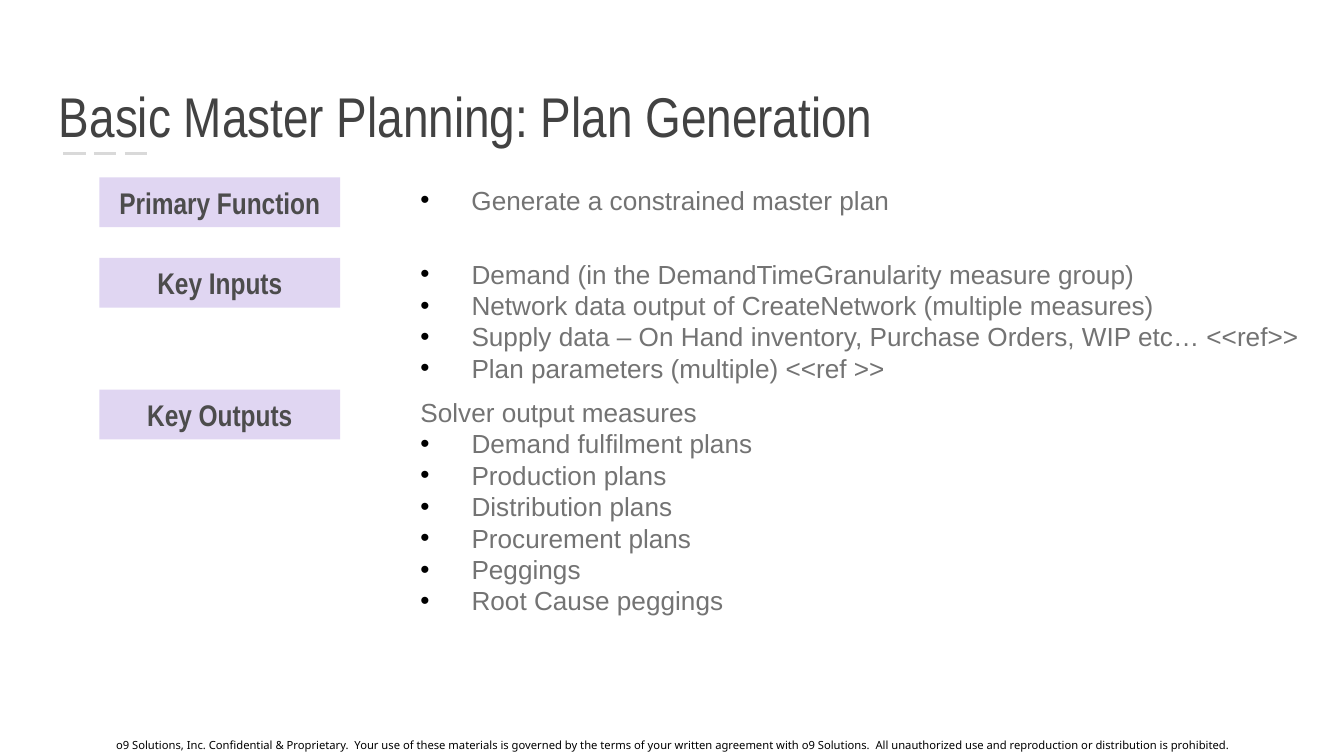
"""Build the Basic Master Planning slide: labelled sections with bullet lists."""
from lxml import etree
from pptx import Presentation
from pptx.dml.color import RGBColor
from pptx.enum import dml, shapes, text
from pptx.oxml import ns
from pptx.util import Inches, Pt

COLOURS = {"title": "424242", "label": "4C4C4C", "body": "737373",
           "black": "000000", "box": "E0D6F2", "dash": "D9D9D9"}

TITLE = "Basic Master Planning: Plan Generation"
FOOTER = ("o9 Solutions, Inc. Confidential & Proprietary.  Your use of these materials is governed "
          "by the terms of your written agreement with o9 Solutions.  "
          "All unauthorized use and reproduction or distribution is prohibited.")
SECTIONS = [
    {"label": "Primary Function", "label_top": 1.32, "list_top": 1.32, "list_width": 3.7,
     "intro": [], "bullets": ["Generate a constrained master plan"]},
    {"label": "Key Inputs", "label_top": 1.92, "list_top": 1.87, "list_width": 6.78,
     "intro": [], "bullets": [
         "Demand (in the DemandTimeGranularity measure group)",
         "Network data output of CreateNetwork (multiple measures)",
         "Supply data – On Hand inventory, Purchase Orders, WIP etc… <<ref>>",
         "Plan parameters (multiple) <<ref >>"]},
    {"label": "Key Outputs", "label_top": 2.9, "list_top": 2.9, "list_width": 2.68,
     "intro": ["Solver output measures"], "bullets": [
         "Demand fulfilment plans", "Production plans", "Distribution plans",
         "Procurement plans", "Peggings", "Root Cause peggings"]},
]
LABEL_LEFT, LABEL_WIDTH, LABEL_HEIGHT = 0.74, 1.79, 0.37
LIST_LEFT, LINE_HEIGHT, LIST_PADDING, INDENT = 3.03, 0.24, 0.1, 0.38


def colour(name):
    return RGBColor.from_string(COLOURS[name])


def add_bullet(paragraph):
    properties = paragraph._p.get_or_add_pPr()
    properties.set("marL", str(Inches(INDENT)))
    properties.set("indent", str(-Inches(INDENT)))
    bullet_colour = etree.SubElement(properties, ns.qn("a:buClr"))
    etree.SubElement(bullet_colour, ns.qn("a:srgbClr"), val=COLOURS["black"])
    etree.SubElement(properties, ns.qn("a:buFont"), typeface="Arial")
    etree.SubElement(properties, ns.qn("a:buChar"), char="•")


def write(shape, lines, *, font, size, fill, bold=False, align=text.PP_ALIGN.LEFT,
          anchor=text.MSO_ANCHOR.TOP, inset=0.05, wrap=True, bullets_from=None):
    frame = shape.text_frame
    frame.word_wrap = wrap
    frame.auto_size = text.MSO_AUTO_SIZE.NONE if wrap else text.MSO_AUTO_SIZE.SHAPE_TO_FIT_TEXT
    frame.vertical_anchor = anchor
    frame.margin_left = frame.margin_right = Inches(0.1)
    frame.margin_top = frame.margin_bottom = Inches(inset)
    for index, line in enumerate(lines):
        paragraph = frame.add_paragraph() if index else frame.paragraphs[0]
        paragraph.alignment = align
        if bullets_from is not None and index >= bullets_from:
            add_bullet(paragraph)
        run = paragraph.add_run()
        run.text = line
        run.font.name, run.font.size, run.font.bold = font, Pt(size), bold
        run.font.color.rgb = colour(fill)


def add_text(slide, box, lines, **style):
    write(slide.shapes.add_textbox(*map(Inches, box)), lines, **style)


def add_label(slide, top, label):
    shape = slide.shapes.add_shape(
        shapes.MSO_SHAPE.RECTANGLE, *map(Inches, (LABEL_LEFT, top, LABEL_WIDTH, LABEL_HEIGHT)))
    shape.shadow.inherit = False
    shape.fill.solid()
    shape.fill.fore_color.rgb = colour("box")
    shape.line.fill.background()
    write(shape, [label], font="Arial Narrow", size=16, fill="label", bold=True,
          align=text.PP_ALIGN.CENTER, anchor=text.MSO_ANCHOR.MIDDLE)


def add_dashes(slide):
    line = slide.shapes.add_connector(
        shapes.MSO_CONNECTOR.STRAIGHT, *map(Inches, (0.47, 1.14, 1.14, 1.14)))
    line.line.color.rgb = colour("dash")
    line.line.width = Pt(1.5)
    line.line.dash_style = dml.MSO_LINE.LONG_DASH
    etree.SubElement(line._element.spPr, ns.qn("a:effectLst"))


def main():
    presentation = Presentation()
    presentation.slide_width = Inches(10)
    presentation.slide_height = Inches(10) * 9 // 16
    slide = presentation.slides.add_slide(presentation.slide_layouts[6])
    add_dashes(slide)
    add_text(slide, (0, 5.44, 10, 0.21), [FOOTER], font="Noto Sans", size=6, fill="black",
             align=text.PP_ALIGN.CENTER, anchor=text.MSO_ANCHOR.MIDDLE, inset=0.1)
    add_text(slide, (0.34, 0.41, 9.32, 0.8), [TITLE], font="Arial Narrow", size=30,
             fill="title", anchor=text.MSO_ANCHOR.BOTTOM, inset=0.1)
    for section in SECTIONS:
        add_label(slide, section["label_top"], section["label"])
        lines = section["intro"] + section["bullets"]
        height = LIST_PADDING + LINE_HEIGHT * len(lines)
        add_text(slide, (LIST_LEFT, section["list_top"], section["list_width"], height), lines,
                 font="Arial", size=14, fill="body", wrap=False,
                 bullets_from=len(section["intro"]))
    presentation.save("out.pptx")


if __name__ == "__main__":
    main()
